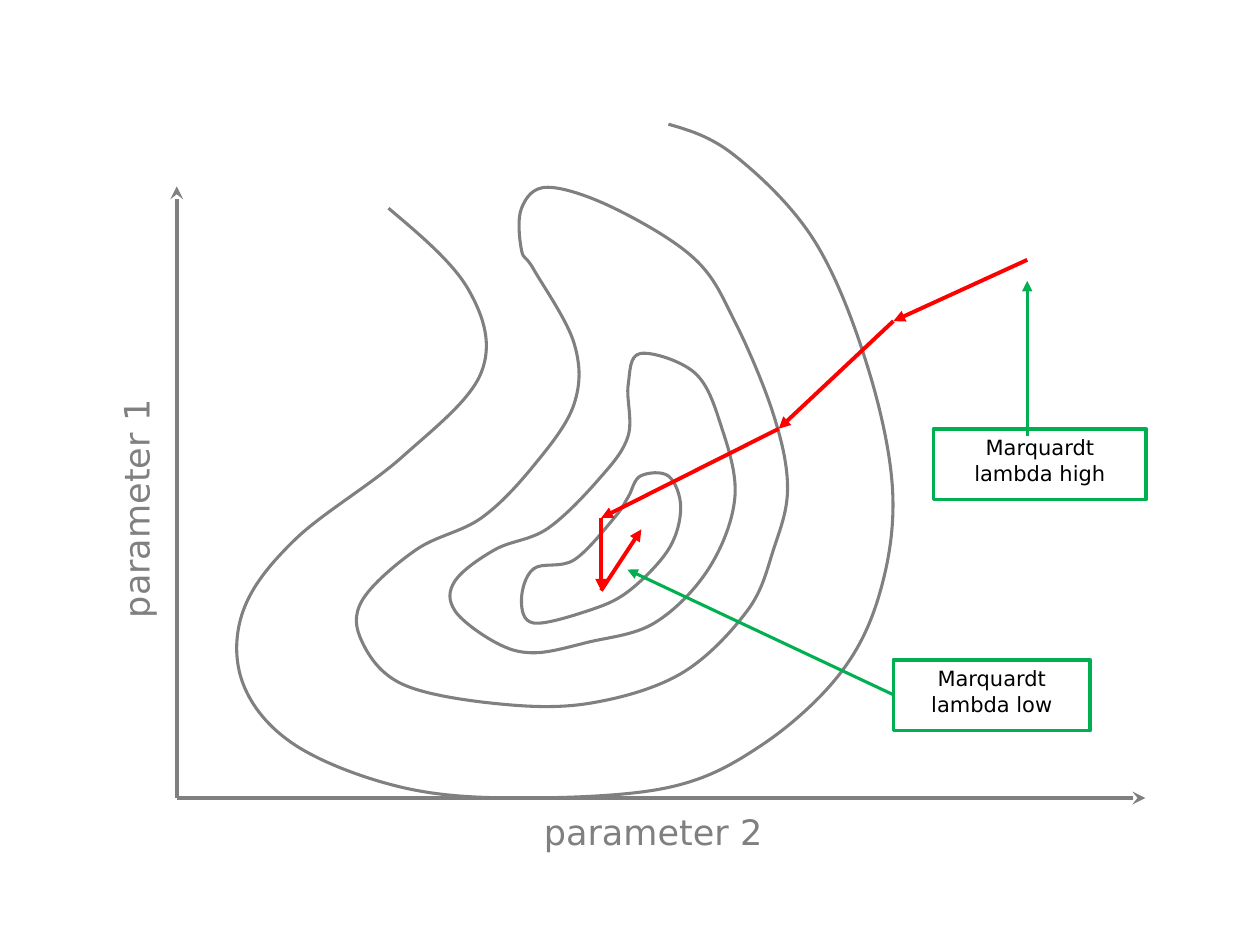
from lxml import etree
from pptx import Presentation
from pptx.dml.color import RGBColor
from pptx.enum.shapes import MSO_CONNECTOR, MSO_SHAPE
from pptx.enum.text import MSO_ANCHOR, PP_ALIGN
from pptx.oxml.ns import qn
from pptx.util import Pt

STRAIGHT = MSO_CONNECTOR.STRAIGHT
RECT = MSO_SHAPE.RECTANGLE
TOP = MSO_ANCHOR.TOP
CENTER = PP_ALIGN.CENTER

GRAY, RED, GREEN, WHITE, BLACK = "808080", "FF0000", "00B050", "FFFFFF", "000000"
rgb = RGBColor.from_string

# Each contour: closed?, points the smooth curve passes through
contours = [
    (True, [(351, 296), (328, 320), (305, 325), (298, 343), (305, 356), (336, 349),
            (359, 338), (382, 314), (389, 290), (382, 272), (366, 272), (359, 284)]),
    (True, [(359, 220), (359, 249), (343, 273), (313, 302), (283, 314), (260, 332),
            (260, 349), (283, 367), (305, 373), (336, 367), (374, 356), (405, 325),
            (420, 284), (412, 243), (397, 213), (366, 202)]),
    (True, [(305, 154), (328, 196), (328, 231), (305, 266), (275, 296), (238, 314),
            (207, 343), (207, 367), (230, 391), (283, 402), (336, 402), (389, 385),
            (427, 349), (442, 314), (450, 279), (442, 237), (420, 184), (397, 148),
            (351, 119), (313, 107), (298, 119), (298, 143)]),
    (False, [(222, 119), (268, 166), (275, 213), (230, 261), (169, 308), (139, 349),
             (139, 391), (169, 426), (230, 450), (298, 456), (382, 450), (435, 426),
             (480, 385), (503, 338), (510, 279), (495, 207), (465, 137), (420, 89),
             (382, 71)]),
]
origin = (101, 456)
axes = [(origin, (101, 106.5)), (origin, (654.5, 456))]
search_path = [(587, 148.5), (510.5, 183.5), (445, 245), (343.5, 296), (343.5, 337.5),
               (366.5, 302.5)]
high_pointer = ((587, 249), (587, 160.5))
low_pointer = ((510.5, 397), (358.5, 325.5))
callouts = [(533.5, 245, 121.5, "Marquardt\nlambda high"),
            (510.5, 377, 112.5, "Marquardt\nlambda low")]
axis_labels = [(218, 459.5, 0, "parameter 2"), (-77.5, 275, 270, "parameter 1")]


def smooth(sp, closed):
    """Turn the straight segments of a freeform into a Catmull-Rom spline."""
    knots = [(int(e.get("x")), int(e.get("y"))) for e in sp._element.iter(qn("a:pt"))]
    n = len(knots) - 1
    before = [knots[n - 1]] + knots[:-1]
    after = knots[1:] + [knots[1]]
    tangents = [((b[0] - a[0]) / 6, (b[1] - a[1]) / 6) for a, b in zip(before, after)]
    if not closed:
        for end, inner, sign in ((0, 1, 1), (n, n - 1, -1)):
            tangents[end] = tuple(
                (knots[inner][i] - knots[end][i]) * sign / 2 - tangents[inner][i] / 2
                for i in (0, 1))
    for i, segment in enumerate(list(sp._element.iter(qn("a:lnTo")))):
        (x0, y0), (x1, y1) = knots[i:i + 2]
        (u0, v0), (u1, v1) = tangents[i:i + 2]
        curve = etree.Element(qn("a:cubicBezTo"))
        for x, y in ((x0 + u0, y0 + v0), (x1 - u1, y1 - v1), (x1, y1)):
            etree.SubElement(curve, qn("a:pt"), x=str(round(x)), y=str(round(y)))
        segment.getparent().replace(segment, curve)


def add_text(sp, text, size, color):
    tf = sp.text_frame
    tf.word_wrap = True
    tf.vertical_anchor = TOP
    for i, line in enumerate(text.split("\n")):
        p = tf.paragraphs[0] if i == 0 else tf.add_paragraph()
        p.alignment = CENTER
        r = p.add_run()
        r.text = line
        for name, value in {"name": "DejaVu Sans", "size": Pt(size)}.items():
            setattr(r.font, name, value)
        r.font.color.rgb = rgb(color)


prs = Presentation()
prs.slide_width, prs.slide_height = Pt(720), Pt(540)
s = prs.slides.add_slide(prs.slide_layouts[6])

# Contour lines
for closed, points in contours:
    pts = [(Pt(x), Pt(y)) for x, y in points]
    builder = s.shapes.build_freeform(*pts[0])
    builder.add_line_segments(pts[1:] + pts[:1] if closed else pts[1:], close=closed)
    sp = builder.convert_to_shape()
    smooth(sp, closed)
    sp.shadow.inherit = False
    sp.fill.background()
    sp.line.color.rgb = rgb(GRAY)
    sp.line.width = Pt(1.75)

# Callout boxes
for left, top, width, text in callouts:
    sp = s.shapes.add_shape(RECT, Pt(left), Pt(top), Pt(width), Pt(40.5))
    sp.shadow.inherit = False
    sp.fill.solid()
    sp.fill.fore_color.rgb = rgb(WHITE)
    sp.line.color.rgb = rgb(GREEN)
    sp.line.width = Pt(2)
    add_text(sp, text, 12, BLACK)

# Axes, search steps and callout pointers
arrows = [(start, end, GRAY, 2.5, "stealth") for start, end in axes]
arrows += [(start, end, RED, 2.25, "triangle")
           for start, end in zip(search_path, search_path[1:])]
arrows += [(start, end, GREEN, 1.75, "triangle")
           for start, end in (high_pointer, low_pointer)]
for start, end, color, width, head in arrows:
    c = s.shapes.add_connector(STRAIGHT, *(Pt(v) for v in start + end))
    c.line.color.rgb = rgb(color)
    c.line.width = Pt(width)
    etree.SubElement(c.line._get_or_add_ln(), qn("a:tailEnd"), type=head)
    etree.SubElement(c._element.spPr, qn("a:effectLst"))

# Axis labels
for left, top, rotation, text in axis_labels:
    sp = s.shapes.add_textbox(Pt(left), Pt(top), Pt(310.5), Pt(31.5))
    sp.rotation = rotation
    add_text(sp, text, 20, GRAY)

prs.save("out.pptx")
